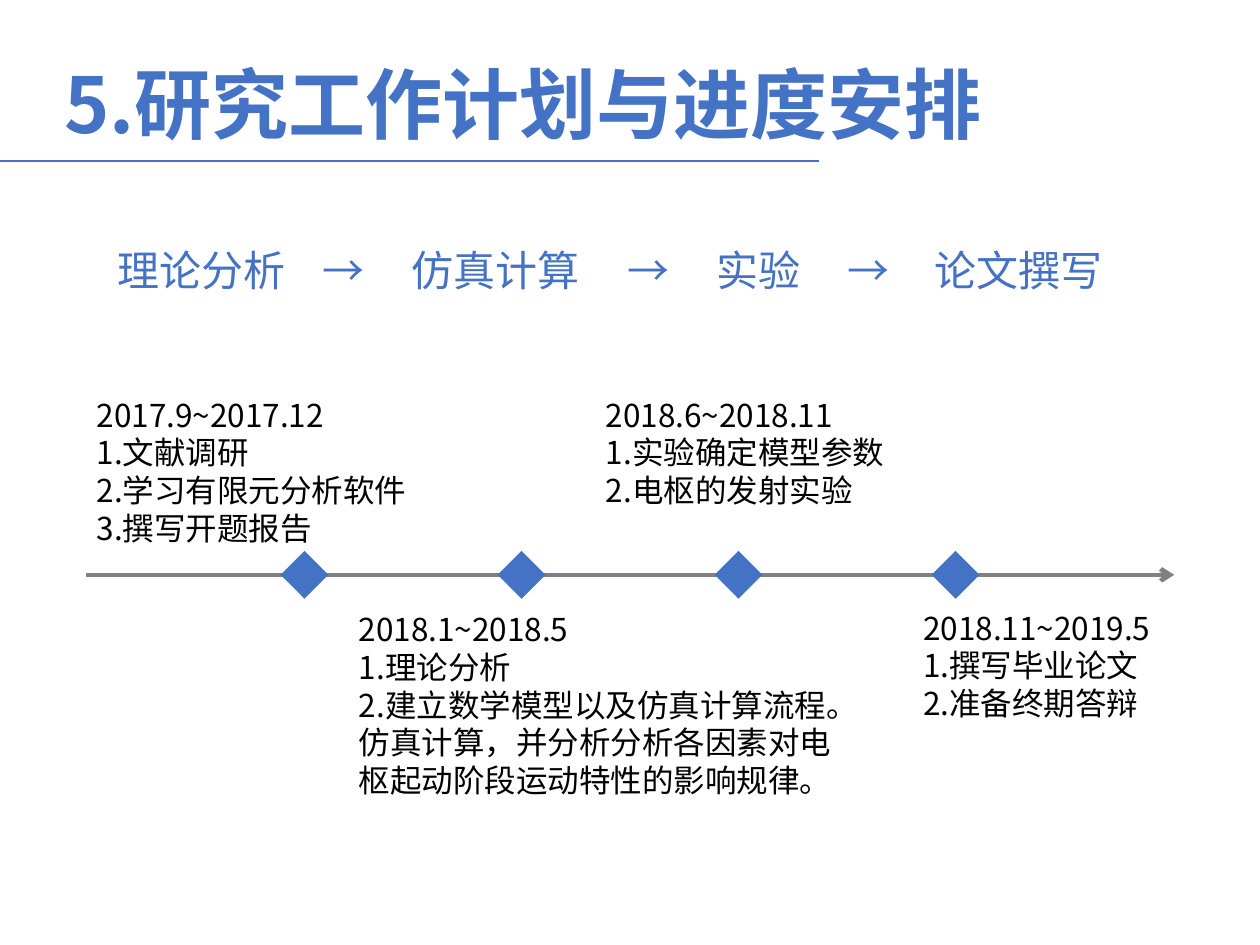
from lxml import etree
from pptx import Presentation
from pptx.dml.color import RGBColor
from pptx.enum.shapes import MSO_CONNECTOR, MSO_SHAPE
from pptx.oxml.ns import qn
from pptx.util import Pt

STRAIGHT = MSO_CONNECTOR.STRAIGHT
RECTANGLE = MSO_SHAPE.RECTANGLE

FONT = "Noto Sans CJK SC"
COLORS = {"blue": "4472C4", "gray": "808080", "black": "000000"}
LINE_HEIGHT = 1.2

prs = Presentation()
prs.slide_width, prs.slide_height = Pt(720), Pt(540)
slide = prs.slides.add_slide(prs.slide_layouts[6])


def add_text(left, top, width, height, lines, size, color, bold=False):
    box = slide.shapes.add_textbox(Pt(left), Pt(top), Pt(width), Pt(height))
    frame = box.text_frame
    frame.word_wrap = True
    frame.text = "\n".join(lines)
    for paragraph in frame.paragraphs:
        paragraph.line_spacing = Pt(round(size * LINE_HEIGHT, 1))
        font = paragraph.font
        font.name, font.size, font.bold = FONT, Pt(size), bold
        font.color.rgb = RGBColor.from_string(COLORS[color])
        defaults = paragraph._p.pPr.find(qn("a:defRPr"))
        etree.SubElement(defaults, qn("a:ea"), typeface=FONT)
    return frame


def add_rule(left, right, y, color, width):
    rule = slide.shapes.add_connector(STRAIGHT, Pt(left), Pt(y), Pt(right), Pt(y))
    rule.line.color.rgb = RGBColor.from_string(COLORS[color])
    rule.line.width = Pt(width)
    etree.SubElement(rule._element.spPr, qn("a:effectLst"))
    return rule


# Title and its underline
add_rule(0, 468, 92.2, "blue", 1.25)
add_text(29.5, 29, 578, 51, ["5.研究工作计划与进度安排"], 44, "blue", bold=True)

# Chain of stages, each item centred on a tab stop
stages = ["理论分析", "仿真计算", "实验", "论文撰写"]
stage_stops = [78, 159, 246, 333, 396, 459, 545]
chain = add_text(30.2, 136, 638, 36, ["\t" + "\t→\t".join(stages)], 24, "blue")
chain_props = chain.paragraphs[0]._p.pPr
tab_list = etree.Element(qn("a:tabLst"))
for stop in stage_stops:
    etree.SubElement(tab_list, qn("a:tab"), pos=str(Pt(stop)), algn="ctr")
chain_props.find(qn("a:defRPr")).addprevious(tab_list)

# Timeline arrow
AXIS_Y = 328.5
axis = add_rule(49, 671, AXIS_Y, "gray", 2.5)
etree.SubElement(axis.line._get_or_add_ln(), qn("a:tailEnd"), type="arrow")

# Milestones at equal steps
MARK, FIRST_X, STEP = 19.4, 174, 124
for i in range(4):
    milestone = slide.shapes.add_shape(
        RECTANGLE, Pt(FIRST_X + i * STEP - MARK / 2), Pt(AXIS_Y - MARK / 2),
        Pt(MARK), Pt(MARK))
    milestone.rotation = 45
    milestone.shadow.inherit = False
    milestone.fill.solid()
    milestone.fill.fore_color.rgb = RGBColor.from_string(COLORS["blue"])
    milestone.line.fill.background()

# Work planned for each period: left, top, width, height, lines
periods = [
    (48.2, 222.5, 212.4, 138,
     ["2017.9~2017.12", "1.文献调研", "2.学习有限元分析软件", "3.撰写开题报告"]),
    (198, 345, 292.3, 116.6,
     ["2018.1~2018.5", "1.理论分析", "2.建立数学模型以及仿真计算流程。",
      "仿真计算，并分析分析各因素对电枢起动阶段运动特性的影响规律。"]),
    (339.1, 222.5, 178.6, 72.7,
     ["2018.6~2018.11", "1.实验确定模型参数", "2.电枢的发射实验"]),
    (520.5, 344.2, 161.3, 94.3,
     ["2018.11~2019.5", "1.撰写毕业论文", "2.准备终期答辩"]),
]
for left, top, width, height, lines in periods:
    add_text(left, top, width, height, lines, 18, "black")

prs.save("out.pptx")
